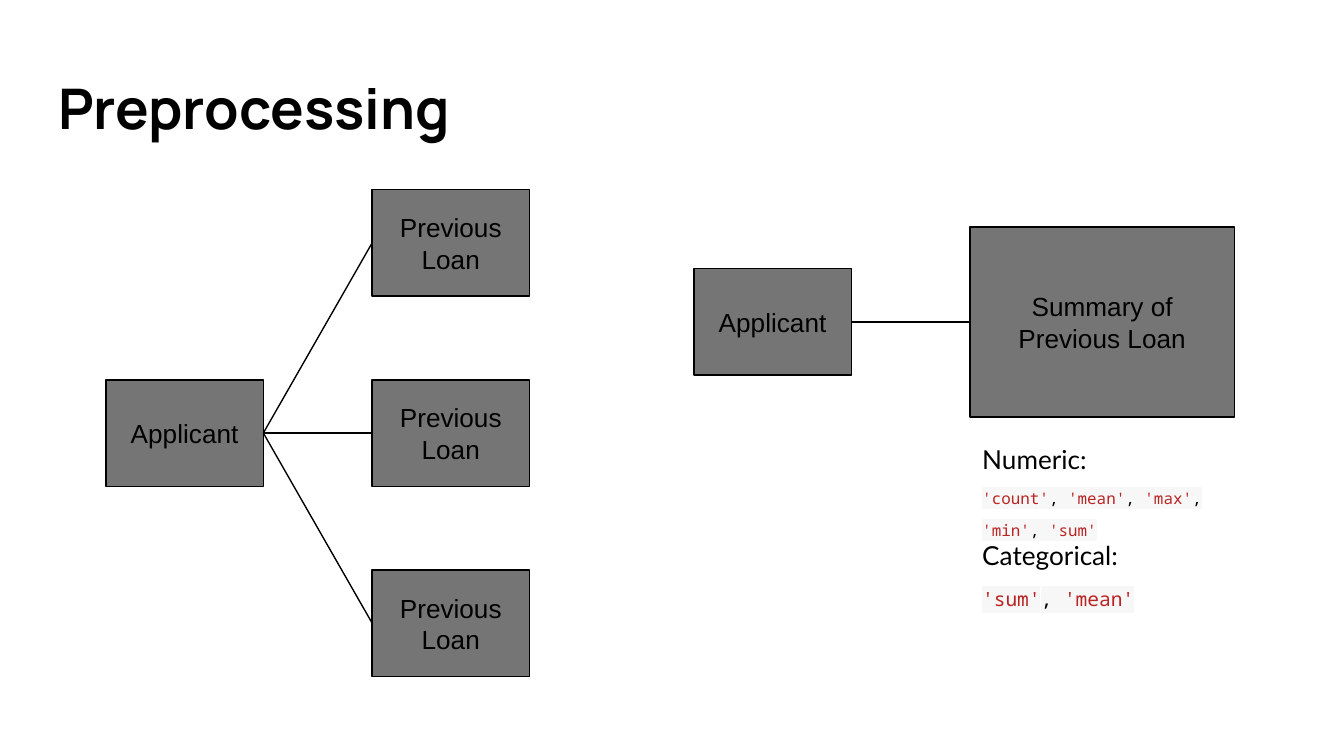
from dataclasses import dataclass

from lxml.etree import SubElement
from pptx import Presentation
from pptx.dml.color import RGBColor
from pptx.enum.shapes import MSO_CONNECTOR, MSO_SHAPE
from pptx.enum.text import MSO_ANCHOR, PP_ALIGN
from pptx.oxml.ns import qn
from pptx.util import Pt


@dataclass(frozen=True)
class Theme:
    ink: str = "000000"
    fill: str = "757575"
    code: str = "BB2323"
    mark: str = "F7F7F7"
    head: float = 30
    body: float = 14
    small: float = 8.5
    mid: float = 10.5
    line: float = 0.75
    pad: float = 7.2


THEME = Theme()
BOX_W, BOX_H = 84.3, 57
LEFT_X, LOAN_X = 56.8, 199.4
TOP, PITCH = 101.6, 101.9
SUM_X, SUM_Y, SUM_W, SUM_H = 519.6, 121.6, 141.8, 101.8


def color(code):
    return RGBColor.from_string(code)


def add_run(para, text, size=THEME.body, font="Arial", ink=THEME.ink,
            bold=False, mark=None):
    run = para.add_run()
    run.text = text
    run.font.size = Pt(size)
    run.font.bold = bold
    run.font.color.rgb = color(ink)
    if mark:
        # The highlight must sit between the fill and the font name.
        light = SubElement(run.font._element, qn("a:highlight"))
        SubElement(light, qn("a:srgbClr"), val=mark)
    run.font.name = font


def set_frame(shape, anchor):
    frame = shape.text_frame
    frame.word_wrap = True
    frame.vertical_anchor = anchor
    frame.margin_left = frame.margin_right = Pt(THEME.pad)
    frame.margin_top = frame.margin_bottom = Pt(THEME.pad)
    return frame


def add_box(slide, text, x, y, w=BOX_W, h=BOX_H):
    box = slide.shapes.add_shape(
        MSO_SHAPE.RECTANGLE, Pt(x), Pt(y), Pt(w), Pt(h))
    box.shadow.inherit = False
    box.fill.solid()
    box.fill.fore_color.rgb = color(THEME.fill)
    box.line.color.rgb = color(THEME.ink)
    box.line.width = Pt(THEME.line)
    para = set_frame(box, MSO_ANCHOR.MIDDLE).paragraphs[0]
    para.alignment = PP_ALIGN.CENTER
    add_run(para, text)
    return box


def join(slide, start, end):
    """Draw a line from the right side of start to the left side of end."""
    line = slide.shapes.add_connector(MSO_CONNECTOR.STRAIGHT, 0, 0, 0, 0)
    line.begin_connect(start, 3)
    line.end_connect(end, 1)
    line.line.color.rgb = color(THEME.ink)
    line.line.width = Pt(THEME.line)
    SubElement(line._element.spPr, qn("a:effectLst"))


def add_text(slide, x, y, w, h):
    box = slide.shapes.add_textbox(Pt(x), Pt(y), Pt(w), Pt(h))
    return set_frame(box, MSO_ANCHOR.TOP)


def add_code(para, names, size):
    """Write quoted names in the code colour, with plain commas between."""
    para.line_spacing = 1.7
    style = dict(size=size, font="Noto Sans Mono", mark=THEME.mark)
    for i, name in enumerate(names):
        if i:
            add_run(para, ", ", **style)
        add_run(para, f"'{name}'", ink=THEME.code, **style)


def add_stats(slide):
    frame = add_text(slide, 519.1, 230.4, 157.7, 127.4)
    groups = [
        ("Numeric:", ["count", "mean", "max", "min", "sum"], THEME.small),
        ("Categorical:", ["sum", "mean"], THEME.mid),
    ]
    for i, (label, names, size) in enumerate(groups):
        para = frame.add_paragraph() if i else frame.paragraphs[0]
        add_run(para, label, font="Lato")
        add_code(frame.add_paragraph(), names, size)


def main():
    deck = Presentation()
    deck.slide_width, deck.slide_height = Pt(720), Pt(405)
    slide = deck.slides.add_slide(deck.slide_layouts[6])

    title = add_text(slide, 24, 32.4, 671, 50.4)
    add_run(title.paragraphs[0], "Preprocessing", size=THEME.head,
            font="Manrope", bold=True)

    person = add_box(slide, "Applicant", LEFT_X, TOP + PITCH)
    for row in range(3):
        loan = add_box(slide, "Previous Loan", LOAN_X, TOP + row * PITCH)
        join(slide, person, loan)

    person = add_box(slide, "Applicant", 371.8, SUM_Y + (SUM_H - BOX_H) / 2)
    total = add_box(slide, "Summary of Previous Loan",
                    SUM_X, SUM_Y, SUM_W, SUM_H)
    join(slide, person, total)
    add_stats(slide)

    deck.save("out.pptx")


if __name__ == "__main__":
    main()
